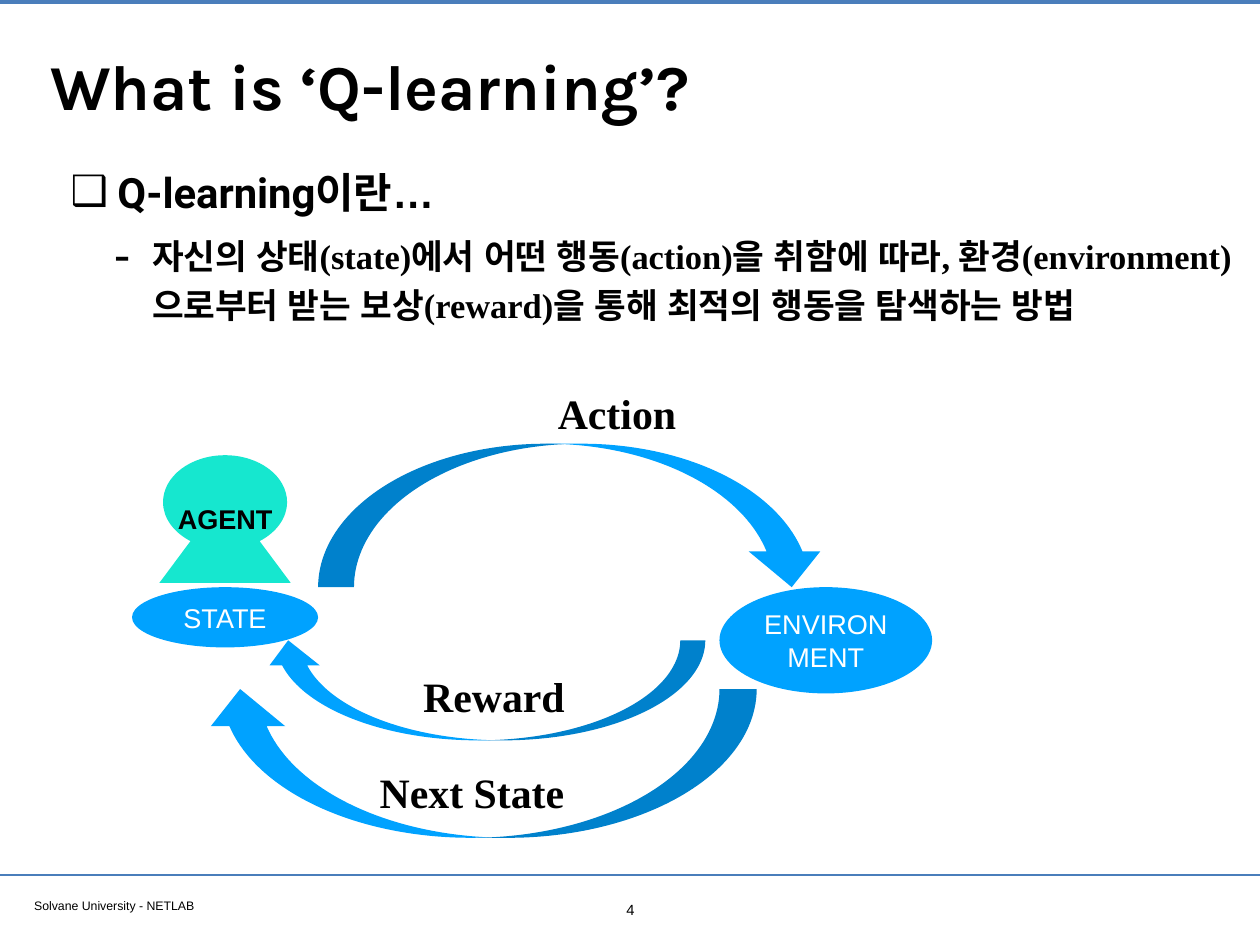
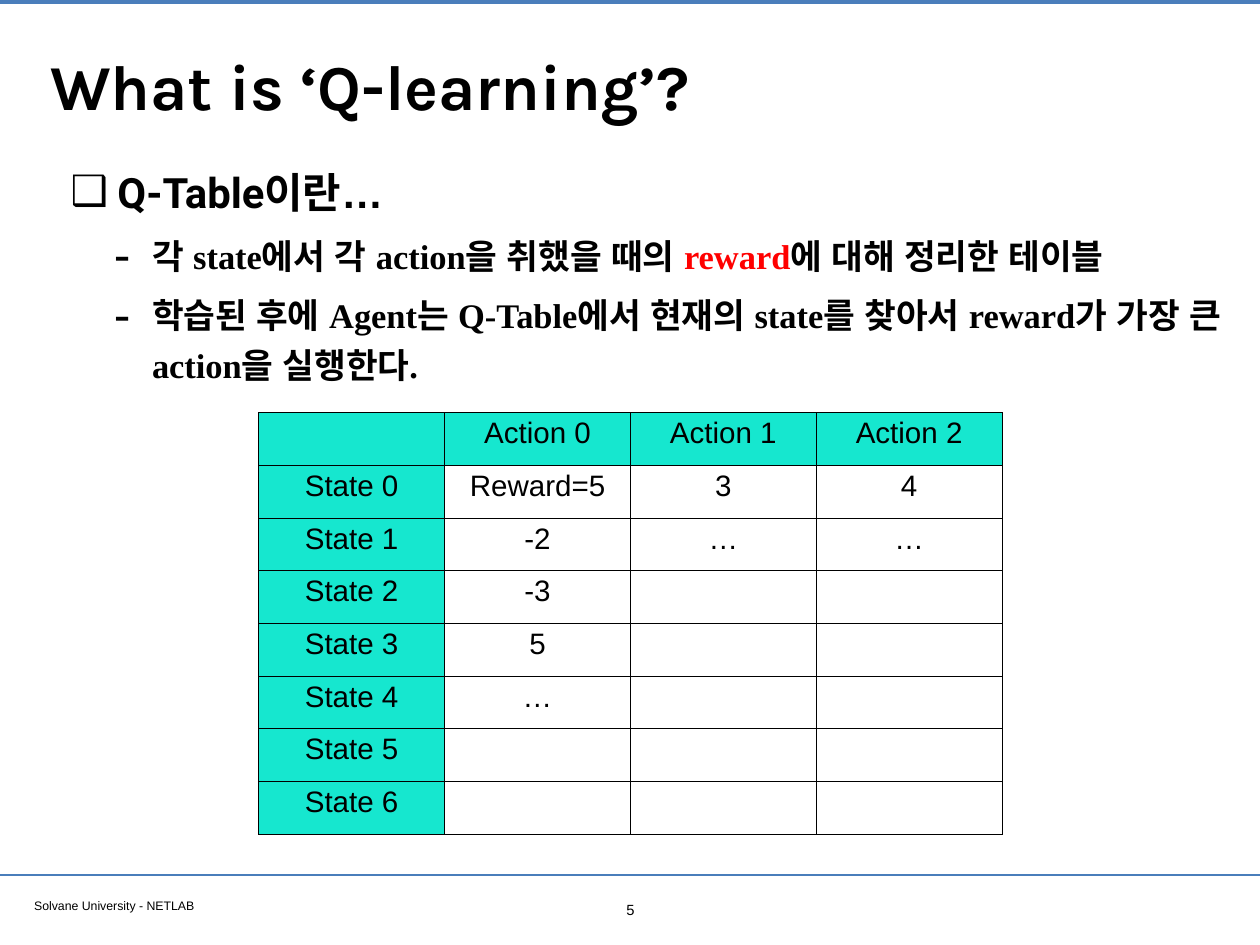
from lxml.etree import SubElement
from pptx import Presentation
from pptx.dml.color import RGBColor
from pptx.enum.shapes import MSO_CONNECTOR as Connector, MSO_SHAPE as Preset
from pptx.enum.text import MSO_ANCHOR as Anchor, MSO_AUTO_SIZE as AutoSize, PP_ALIGN as Align
from pptx.oxml.ns import qn
from pptx.util import Inches, Pt

BLACK = RGBColor(0x00, 0x00, 0x00)
WHITE = RGBColor(0xFF, 0xFF, 0xFF)
RED = RGBColor(0xFF, 0x00, 0x00)
RULE_BLUE = RGBColor(0x4A, 0x7E, 0xBB)
BLUE = RGBColor(0x00, 0xA2, 0xFF)
TURQUOISE = RGBColor(0x16, 0xE7, 0xCF)

TITLE = "What is ‘Q-learning’?"
FOOTER = "Solvane University - NETLAB"
KOREAN_FONT = "Arial"
TITLE_FONT = {"name": "Karla", "size": Pt(52), "bold": True}
LEVEL_FONTS = (
    {"name": "Roboto", "size": Pt(34), "bold": True},
    {"name": "Times New Roman", "size": Pt(28), "bold": True},
)
LABEL_FONT = {"name": "Times New Roman", "size": Pt(34), "bold": True}
NODE_FONT = {"name": "Arial", "size": Pt(22), "bold": False}
AGENT_FONT = {**NODE_FONT, "bold": True}
TABLE_FONT = {"name": "Arial", "size": Pt(24), "bold": False}
FOOTER_FONT = {"name": "Arial", "size": Pt(10)}
NUMBER_FONT = {"name": "Arial", "size": Pt(12)}
LABEL_SPACING = {"line_spacing": 1.1, "space_before": Pt(8)}
BODY_SPACING = {"line_spacing": 1.2, "space_before": Pt(8)}
FRAME = {side: Pt(4) for side in
         ("margin_left", "margin_right", "margin_top", "margin_bottom")}
BULLETS = (
    {"char": "❑", "margin": 0.53, "hanging": 0.53, "percent": 100},
    {"char": "-", "margin": 0.92, "hanging": 0.43, "percent": 145},
)

LEARNING_LIST = [
    (0, [("Q-learning이란…", BLACK)]),
    (1, [("자신의 상태(state)에서 어떤 행동(action)을 취함에 따라, "
          "환경(environment)으로부터 받는 보상(reward)을 통해 "
          "최적의 행동을 탐색하는 방법", BLACK)]),
]
TABLE_LIST = [
    (0, [("Q-Table이란…", BLACK)]),
    (1, [("각 state에서 각 action을 취했을 때의 ", BLACK), ("reward", RED),
         ("에 대해 정리한 테이블", BLACK)]),
    (1, [("학습된 후에 Agent는 Q-Table에서 현재의 state를 찾아서 "
          "reward가 가장 큰 action을 실행한다.", BLACK)]),
]
REWARDS = [["Reward=5", "3", "4"], ["-2", "…", "…"], ["-3"], ["5"], ["…"], [], []]


def apply(target, values):
    """Set each named attribute of the target."""
    for name, value in values.items():
        setattr(target, name, value)


def box(left, top, width, height):
    """Return a position and size in inches."""
    return [Inches(length) for length in (left, top, width, height)]


def place(shape, area):
    """Move and size a shape."""
    apply(shape, dict(zip(("left", "top", "width", "height"), area)))


def add_run(paragraph, text, font, color=BLACK):
    """Append one formatted run."""
    run = paragraph.add_run()
    run.text = text
    apply(run.font, font)
    run.font.color.rgb = color
    return run


def write(text_frame, text, font, color=BLACK, align=Align.LEFT, spacing=None):
    """Write a single paragraph into a text frame."""
    paragraph = text_frame.paragraphs[0]
    apply(paragraph, {"alignment": align, **(spacing or {})})
    add_run(paragraph, text, font, color)


def add_label(slide, area, text, font, **style):
    """Add a wrapped text box."""
    label = slide.shapes.add_textbox(*area)
    apply(label.text_frame, {**FRAME, "word_wrap": True})
    write(label.text_frame, text, font, **style)
    return label


def paint(shape, color):
    """Give a shape a flat fill without outline or shadow."""
    shape.shadow.inherit = False
    shape.fill.solid()
    shape.fill.fore_color.rgb = color
    shape.line.fill.background()


def write_node(shape, text, font, color):
    """Centre text in a shape."""
    apply(shape.text_frame, {**FRAME, "word_wrap": True, "vertical_anchor": Anchor.MIDDLE})
    write(shape.text_frame, text, font, color, Align.CENTER)


def add_state(slide, area, text):
    """Add a blue ellipse with a caption."""
    ellipse = slide.shapes.add_shape(Preset.OVAL, *area)
    paint(ellipse, BLUE)
    write_node(ellipse, text, NODE_FONT, WHITE)


def add_curved_arrow(slide, preset, area, flipped=False):
    """Add a curved block arrow, mirrored if asked."""
    arrow = slide.shapes.add_shape(preset, *area)
    paint(arrow, BLUE)
    if flipped:
        arrow.element.spPr.find(qn("a:xfrm")).set("flipH", "1")


def round_segments(shape, starts):
    """Turn three line segments from each start into one Bezier curve."""
    lines = list(shape.element.iter(qn("a:lnTo")))
    for start in starts:
        curve, *others = lines[start:start + 3]
        curve.tag = qn("a:cubicBezTo")
        for line in others:
            curve.append(line[0])
            line.getparent().remove(line)


def add_agent(slide):
    """Add the figure of a round head on a flared body."""
    axis = 2.54
    right = [(0.39, 5.14), (0.7, 5.38), (0.7, 5.67), (0.7, 5.85), (0.58, 6.01), (0.39, 6.11)]
    left = [(-offset, y) for offset, y in reversed(right)]
    base = [(0.74, 6.58), (-0.74, 6.58)]
    outline = [(Inches(axis + offset), Inches(y))
               for offset, y in [(0, 5.14), *right, *base, *left, (0, 5.14)]]
    builder = slide.shapes.build_freeform(*outline[0], scale=1.0)
    builder.add_line_segments(outline[1:], close=True)
    agent = builder.convert_to_shape()
    round_segments(agent, (0, 3, 9, 12))
    paint(agent, TURQUOISE)
    write_node(agent, "AGENT", AGENT_FONT, BLACK)


def add_rule(slide, height, width):
    """Add a horizontal line across the slide."""
    rule = slide.shapes.add_connector(
        Connector.STRAIGHT, 0, Inches(height), Inches(14.22), Inches(height))
    rule.line.color.rgb = RULE_BLUE
    rule.line.width = Pt(width)
    SubElement(rule.element.spPr, qn("a:effectLst"))
    return rule


def prepare_layout(layout):
    """Set the shared title and body areas and drop the footer placeholders."""
    for placeholder in list(layout.placeholders):
        if placeholder.placeholder_format.idx >= 10:
            layout.shapes.element.remove(placeholder.element)
    title, body = layout.placeholders
    place(title, box(0.51, 0.28, 13.21, 1.35))
    place(body, box(0.74, 1.71, 13.35, 8.29))
    for placeholder, anchor in ((title, Anchor.MIDDLE), (body, Anchor.TOP)):
        apply(placeholder.text_frame,
              {**FRAME, "vertical_anchor": anchor, "auto_size": AutoSize.NONE})


def share_frame(slide):
    """Draw the rules and footer, and hand them to the layout."""
    parts = [add_rule(slide, 0.02, 3.2), add_rule(slide, 9.88, 2),
             add_label(slide, box(0.33, 10.09, 5.46, 0.26), FOOTER, FOOTER_FONT)]
    for part in parts:
        slide.slide_layout.shapes.element.append(part.element)


def set_bullet(paragraph, char, margin, hanging, percent):
    """Give a paragraph a hanging bullet."""
    properties = paragraph._p.get_or_add_pPr()
    properties.set("marL", str(Inches(margin)))
    properties.set("indent", str(-Inches(hanging)))
    SubElement(properties, qn("a:buSzPct"), val=str(percent * 1000))
    SubElement(properties, qn("a:buChar"), char=char)


def fill_body(text_frame, items):
    """Write the two-level list."""
    for index, (level, runs) in enumerate(items):
        paragraph = text_frame.add_paragraph() if index else text_frame.paragraphs[0]
        apply(paragraph, {"level": level, "alignment": Align.LEFT, **BODY_SPACING})
        set_bullet(paragraph, **BULLETS[level])
        for text, color in runs:
            run = add_run(paragraph, text, LEVEL_FONTS[level], color)
            SubElement(run._r.get_or_add_rPr(), qn("a:ea"), typeface=KOREAN_FONT)


def add_content_slide(presentation, layout, number, items):
    """Add a slide with title, list and page number."""
    slide = presentation.slides.add_slide(layout)
    write(slide.shapes.title.text_frame, TITLE, TITLE_FONT)
    fill_body(slide.placeholders[1].text_frame, items)
    add_label(slide, box(6.92, 10.12, 0.39, 0.31), str(number), NUMBER_FONT, align=Align.CENTER)
    return slide


def add_cycle(slide):
    """Draw the loop between agent and environment."""
    add_state(slide, box(8.12, 6.63, 2.4, 1.2), "ENVIRONMENT")
    add_state(slide, box(1.49, 6.63, 2.1, 0.68), "STATE")
    add_curved_arrow(slide, Preset.CURVED_DOWN_ARROW, box(3.59, 5.01, 5.75, 1.62))
    for area in (box(2.97, 7.23, 4.99, 1.13), box(2.29, 7.78, 6.25, 1.68)):
        add_curved_arrow(slide, Preset.CURVED_UP_ARROW, area, flipped=True)
    for text, area in (("Action", box(6.24, 4.27, 1.74, 0.74)),
                       ("Reward", box(4.72, 7.46, 1.74, 0.74)),
                       ("Next State", box(4.23, 8.54, 2.35, 0.74))):
        add_label(slide, area, text, LABEL_FONT, spacing=LABEL_SPACING)
    add_agent(slide)


def add_borders(cell):
    """Outline a cell in black."""
    properties = cell._tc.get_or_add_tcPr()
    for side in ("a:lnL", "a:lnR", "a:lnT", "a:lnB"):
        line = SubElement(properties, qn(side), w=str(Pt(1)))
        fill = SubElement(line, qn("a:solidFill"))
        SubElement(fill, qn("a:srgbClr"), val=str(BLACK))


def add_reward_table(slide):
    """Add the table of rewards by state and action."""
    rows = [[""] + [f"Action {index}" for index in range(3)]]
    rows += [[f"State {index}", *values] for index, values in enumerate(REWARDS)]
    table = slide.shapes.add_table(len(rows), len(rows[0]), *box(2.92, 4.66, 8.39, 4.76)).table
    apply(table, {"first_row": False, "horz_banding": False})
    for row_index, row in enumerate(rows):
        for column_index in range(len(rows[0])):
            cell = table.cell(row_index, column_index)
            add_borders(cell)
            if row_index and column_index:
                cell.fill.background()
            else:
                cell.fill.solid()
                cell.fill.fore_color.rgb = TURQUOISE
            if column_index < len(row) and row[column_index]:
                write(cell.text_frame, row[column_index], TABLE_FONT, align=Align.CENTER)


def main():
    """Build and save the presentation."""
    presentation = Presentation()
    apply(presentation, {"slide_width": Inches(14.22), "slide_height": Inches(10.67)})
    layout = presentation.slide_layouts[1]
    prepare_layout(layout)
    cycle_slide = add_content_slide(presentation, layout, 4, LEARNING_LIST)
    share_frame(cycle_slide)
    add_cycle(cycle_slide)
    add_reward_table(add_content_slide(presentation, layout, 5, TABLE_LIST))
    presentation.save("out.pptx")


main()
